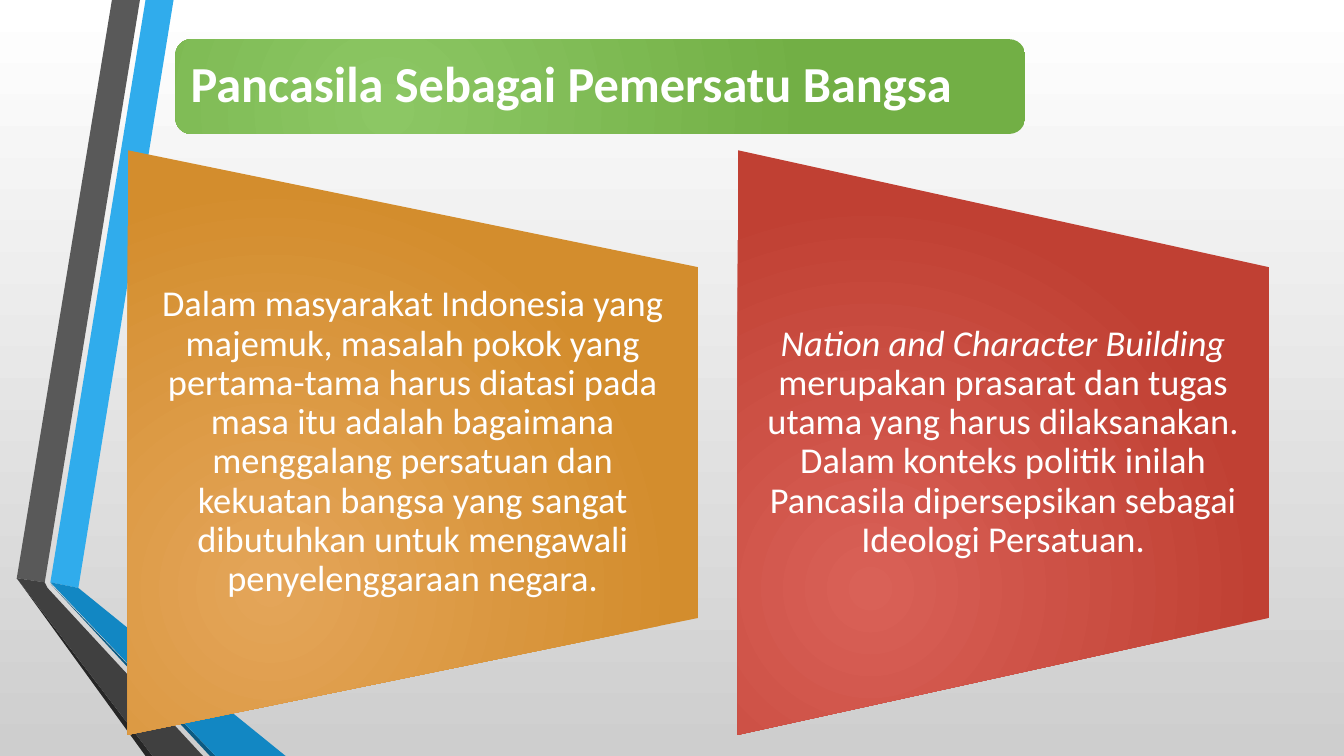
"""Build the slide on Pancasila as the unifier of the nation."""
from lxml import etree
from pptx import Presentation
from pptx.dml.color import RGBColor
from pptx.enum.shapes import MSO_SHAPE
from pptx.enum.text import MSO_ANCHOR, MSO_AUTO_SIZE, PP_ALIGN
from pptx.oxml import parse_xml
from pptx.oxml.ns import nsdecls, qn
from pptx.util import Pt

ROUNDED, TRAPEZOID = MSO_SHAPE.ROUNDED_RECTANGLE, MSO_SHAPE.FLOWCHART_MANUAL_OPERATION
LEFT, CENTER = PP_ALIGN.LEFT, PP_ALIGN.CENTER
MIDDLE, NO_FIT = MSO_ANCHOR.MIDDLE, MSO_AUTO_SIZE.NONE

WHITE = RGBColor(0xFF, 0xFF, 0xFF)
SILVER = RGBColor(0xCE, 0xCE, 0xCE)
SKY = RGBColor(0x30, 0xAC, 0xEC)
BLUE = RGBColor(0x12, 0x87, 0xC3)
NAVY = RGBColor(0x0C, 0x5A, 0x82)
GREY = RGBColor(0x59, 0x59, 0x59)
CHARCOAL = RGBColor(0x40, 0x40, 0x40)
BLACK = RGBColor(0x26, 0x26, 0x26)
GREENS = RGBColor(0x8C, 0xC7, 0x64), RGBColor(0x72, 0xAF, 0x45)
AMBERS = RGBColor(0xE4, 0xA5, 0x59), RGBColor(0xD3, 0x8D, 0x2D)
REDS = RGBColor(0xD9, 0x61, 0x57), RGBColor(0xC0, 0x40, 0x33)

FONT = "Calibri"
PANEL_TOP, PANEL_HEIGHT = 107.3, 417.6
RIBBONS = [
    (SKY, [(36, 416.2), (55.5, 419.8), (124.5, 0), (104.5, 0)]),
    (GREY, [(100, 0), (80, 0), (11.7, 412.6), (31.5, 415.5)]),
    (BLACK, [(11.7, 412.6), (104.5, 540), (108.7, 540)]),
    (NAVY, [(36, 416.9), (149.8, 540), (154, 540)]),
    (BLUE, [(36, 416.2), (154, 540), (203.8, 540), (55.5, 419.8)]),
    (CHARCOAL, [(145.4, 540), (34.5, 419.8), (31.5, 415.5), (11.7, 412.6), (108.7, 540)]),
]
LEFT_TEXT = (
    "Dalam masyarakat Indonesia yang majemuk, masalah pokok yang pertama-tama "
    "harus diatasi pada masa itu adalah bagaimana menggalang persatuan dan kekuatan "
    "bangsa yang sangat dibutuhkan untuk mengawali penyelenggaraan negara."
)
RIGHT_TERM = "Nation and Character Building "
RIGHT_TEXT = (
    "merupakan prasarat dan tugas utama yang harus dilaksanakan. Dalam konteks "
    "politik inilah Pancasila dipersepsikan sebagai Ideologi Persatuan."
)


def set_gradient(fill, colors):
    """Give a fill a two-colour gradient."""
    fill.gradient()
    for stop, color in zip(fill.gradient_stops, colors):
        stop.color.rgb = color


def add_ribbon(s, color, points):
    """Draw one facet of the folded ribbon on the left edge."""
    builder = s.shapes.build_freeform(*points[0], scale=Pt(1))
    builder.add_line_segments(points[1:], close=True)
    sp = builder.convert_to_shape()
    sp.shadow.inherit = False
    sp.fill.solid()
    sp.fill.fore_color.rgb = color
    sp.line.fill.background()


def add_glow_shape(s, kind, box, colors, rotation=0):
    """Add a preset shape with a circular gradient."""
    sp = s.shapes.add_shape(kind, *map(Pt, box))
    sp.rotation = rotation
    sp.shadow.inherit = False
    sp.line.fill.background()
    set_gradient(sp.fill, colors)
    grad = sp._element.spPr.find(qn("a:gradFill"))
    circle = parse_xml(f'<a:path {nsdecls("a")} path="circle"/>')
    etree.SubElement(circle, qn("a:fillToRect"), l="50000", t="100000", r="100000", b="50000")
    grad.replace(grad.find(qn("a:lin")), circle)
    return sp


def add_run(p, text, size=26, bold=False, italic=False):
    """Append a white run to a paragraph."""
    r = p.add_run()
    r.text = text
    r.font.name, r.font.size = FONT, Pt(size)
    r.font.bold, r.font.italic = bold, italic
    r.font.color.rgb = WHITE


def place_text(s, holder, box, insets, align):
    """Move a placeholder to the front at a box and return its paragraph."""
    s.shapes._spTree.append(holder._element)
    holder.left, holder.top, holder.width, holder.height = map(Pt, box)
    tf = holder.text_frame
    tf.word_wrap, tf.auto_size, tf.vertical_anchor = True, NO_FIT, MIDDLE
    tf.margin_left = tf.margin_right = Pt(insets[0])
    tf.margin_top = tf.margin_bottom = Pt(insets[1])
    p = tf.paragraphs[0]
    p.alignment, p.line_spacing, p.space_before = align, 0.9, Pt(0)
    props = p._p.get_or_add_pPr()
    props.set("marL", "0")
    props.set("indent", "0")
    etree.SubElement(props, qn("a:buNone"))
    return p


def add_panel(s, holder, left, width, colors):
    """Add a sideways trapezoid and return the paragraph over it."""
    shift = (width - PANEL_HEIGHT) / 2
    frame = left + shift, PANEL_TOP - shift, PANEL_HEIGHT, width
    add_glow_shape(s, TRAPEZOID, frame, colors, rotation=270)
    box = left, PANEL_TOP + PANEL_HEIGHT / 5, width, PANEL_HEIGHT * 0.6
    return place_text(s, holder, box, (13, 0), CENTER)


def main():
    """Build and save the slide."""
    prs = Presentation()
    prs.slide_width, prs.slide_height = Pt(960), Pt(540)
    s = prs.slides.add_slide(prs.slide_layouts[3])
    title, left_body, right_body = list(s.placeholders)[:3]

    set_gradient(s.background.fill, (WHITE, SILVER))
    s.background.fill.gradient_angle = 270
    for color, points in RIBBONS:
        add_ribbon(s, color, points)

    title_box = 125.3, 28, 607, 67.7
    add_glow_shape(s, ROUNDED, title_box, GREENS)
    p = place_text(s, title, title_box, (10.8, 10.8), LEFT)
    add_run(p, "Pancasila Sebagai Pemersatu Bangsa", size=36, bold=True)

    p = add_panel(s, left_body, 91.2, 407.5, AMBERS)
    add_run(p, LEFT_TEXT)
    p = add_panel(s, right_body, 527, 379.4, REDS)
    add_run(p, RIGHT_TERM, italic=True)
    add_run(p, RIGHT_TEXT)

    prs.save("out.pptx")


if __name__ == "__main__":
    main()
